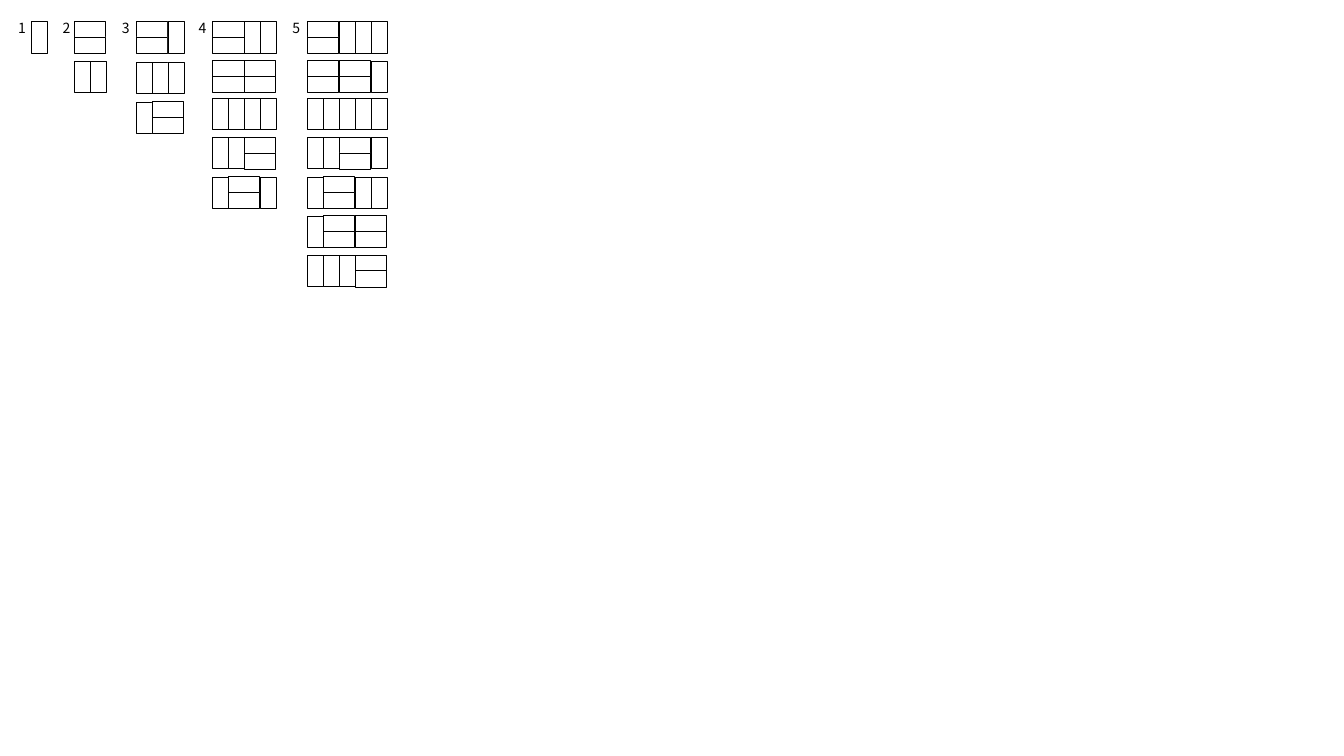
import pptx
import pptx.util
import pptx.dml.color
import pptx.enum.shapes
import pptx.enum.text
from pptx.util import Inches, Pt

COLORS = {"ink": "000000", "paper": "FFFFFF"}
LABEL_FONT = {"name": "Noto Sans CJK KR", "size": Pt(10)}
LABEL_FRAME = {
    "margin_left": 0, "margin_top": 0, "margin_right": 0, "margin_bottom": 0,
    "word_wrap": False,
    "auto_size": pptx.enum.text.MSO_AUTO_SIZE.SHAPE_TO_FIT_TEXT,
}
LONG, SHORT = 0.31, 0.16
STEP = 0.63 / 4
ROW_TOPS = [0.21, 0.6, 0.97, 1.36, 1.75, 2.14, 2.53]
COLUMNS = [
    ("1", 0.18, 0.31, ROW_TOPS, ["V"]),
    ("2", 0.62, 0.74, ROW_TOPS, ["H", "VV"]),
    ("3", 1.21, 1.35, [0.21, 0.61, 1.01], ["HV", "VVV", "VH"]),
    ("4", 1.97, 2.11, ROW_TOPS, ["HVV", "HH", "VVVV", "VVH", "VHV"]),
    ("5", 2.9, 3.05, ROW_TOPS,
     ["HVVV", "HHV", "VVVVV", "VVHV", "VHVV", "VHH", "VVVH"]),
]


def rgb(name):
    """Return the named colour."""
    return pptx.dml.color.RGBColor.from_string(COLORS[name])


def add_domino(s, x, y, rotation=0):
    """Draw one outlined domino."""
    sp = s.shapes.add_shape(pptx.enum.shapes.MSO_SHAPE.RECTANGLE,
                            Inches(x), Inches(y), Inches(LONG), Inches(SHORT))
    sp.rotation = rotation
    sp.shadow.inherit = False
    sp.fill.solid()
    sp.fill.fore_color.rgb = rgb("paper")
    sp.line.color.rgb = rgb("ink")
    sp.line.width = Pt(0.5)


def add_tiling(s, x, y, tiles):
    """Draw a row of upright dominoes (V) and stacked pairs (H)."""
    for tile in tiles:
        if tile == "H":
            add_domino(s, x, y)
            add_domino(s, x, y + STEP)
            x += 2 * STEP
        else:
            add_domino(s, x - (LONG - SHORT) / 2, y + SHORT / 2, 90)
            x += STEP


def add_label(s, x, text):
    """Write the number of a column."""
    tf = s.shapes.add_textbox(Inches(x), Inches(0.19),
                              Inches(0.08), Inches(0.17)).text_frame
    for name, value in LABEL_FRAME.items():
        setattr(tf, name, value)
    r = tf.paragraphs[0].add_run()
    r.text = text
    for name, value in LABEL_FONT.items():
        setattr(r.font, name, value)
    r.font.color.rgb = rgb("ink")


def main():
    """Build the slide of domino tilings."""
    prs = pptx.Presentation()
    prs.slide_width, prs.slide_height = Inches(13.33), Inches(7.5)
    s = prs.slides.add_slide(prs.slide_layouts[6])
    for label, label_x, x, tops, tilings in COLUMNS:
        add_label(s, label_x, label)
        for y, tiles in zip(tops, tilings):
            add_tiling(s, x, y, tiles)
    prs.save("out.pptx")


if __name__ == "__main__":
    main()
